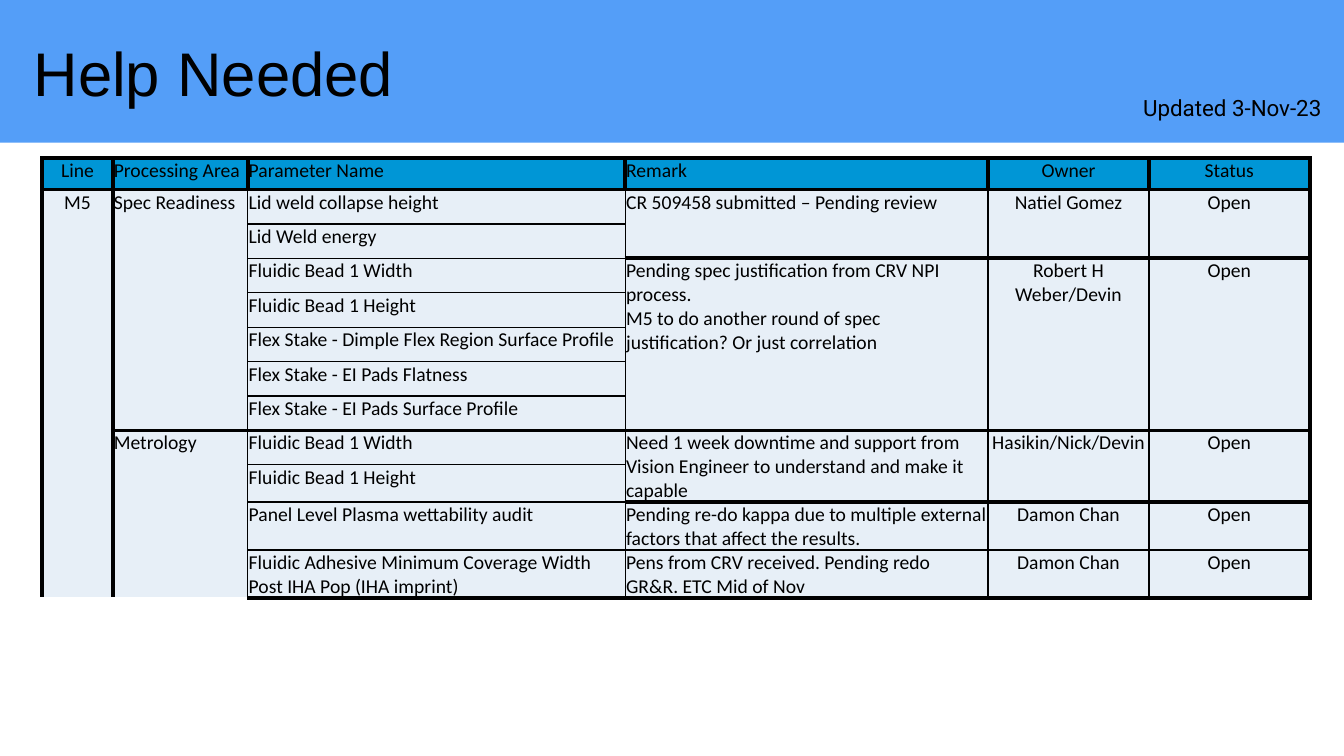
from dataclasses import dataclass

from lxml.etree import SubElement
from pptx import Presentation
from pptx.dml.color import RGBColor
from pptx.enum.shapes import MSO_SHAPE as Shape
from pptx.enum.text import MSO_ANCHOR as Anchor, PP_ALIGN as Align
from pptx.oxml.ns import qn
from pptx.slide import Slide
from pptx.table import Table, _Cell as Cell
from pptx.text.text import TextFrame
from pptx.util import Pt

BLACK = RGBColor(0x00, 0x00, 0x00)
BANNER_BLUE = RGBColor(0x54, 0x9E, 0xF8)
HEADER_BLUE = RGBColor(0x00, 0x96, 0xD6)
BODY_BLUE = RGBColor(0xE7, 0xEF, 0xF7)

THIN, THICK = 1, 3
COLUMN_WIDTHS = [50.4, 96.4, 269.6, 259.2, 115, 114.8]
ROW_HEIGHTS = [22.4] + [24.6] * 8 + [26.4, 34.2, 34.2]
CENTRED_COLUMNS = {0, 4, 5}
THICK_RULES = {0, 1, 8, 12}  # horizontal rules, counted from the table top

HEADINGS = ["Line", "Processing Area", "Parameter Name", "Remark", "Owner", "Status"]
PARAMETERS = [
    "Lid weld collapse height",
    "Lid Weld energy",
    "Fluidic Bead 1 Width",
    "Fluidic Bead 1 Height",
    "Flex Stake - Dimple Flex Region Surface Profile",
    "Flex Stake - EI Pads Flatness",
    "Flex Stake - EI Pads Surface Profile",
    "Fluidic Bead 1 Width",
    "Fluidic Bead 1 Height",
    "Panel Level Plasma wettability audit",
    "Fluidic Adhesive Minimum Coverage Width Post IHA Pop (IHA imprint)",
]


@dataclass
class Entry:
    row: int
    column: int
    text: str
    rows: int = 1


@dataclass
class Issue:
    row: int
    rows: int
    remark: str
    owner: str
    status: str = "Open"


ISSUES = [
    Issue(1, 2, "CR 509458 submitted – Pending review", "Natiel Gomez"),
    Issue(3, 5, "Pending spec justification from CRV NPI process.\n"
          "M5 to do another round of spec justification? Or just correlation",
          "Robert H Weber/Devin"),
    Issue(8, 2, "Need 1 week downtime and support from Vision Engineer "
          "to understand and make it capable", "Hasikin/Nick/Devin"),
    Issue(10, 1, "Pending re-do kappa due to multiple external factors "
          "that affect the results.", "Damon Chan"),
    Issue(11, 1, "Pens from CRV received. Pending redo GR&R. ETC Mid of Nov",
          "Damon Chan"),
]

ENTRIES = [
    *(Entry(0, column, heading) for column, heading in enumerate(HEADINGS)),
    Entry(1, 0, "M5", 11),
    Entry(1, 1, "Spec Readiness", 7),
    Entry(8, 1, "Metrology", 4),
    *(Entry(row, 2, name) for row, name in enumerate(PARAMETERS, 1)),
    *(Entry(issue.row, column, text, issue.rows)
      for issue in ISSUES
      for column, text in enumerate((issue.remark, issue.owner, issue.status), 3)),
]


def set_font(frame: TextFrame, name: str, size: float) -> None:
    for para in frame.paragraphs:
        para.font.name = name
        para.font.size = Pt(size)
        para.font.color.rgb = BLACK


def add_label(page: Slide, text: str, place: tuple[float, ...], font: str, size: float) -> TextFrame:
    box = page.shapes.add_textbox(*map(Pt, place))
    frame = box.text_frame
    frame.word_wrap = True
    frame.text = text
    set_font(frame, font, size)
    return frame


def add_border(cell: Cell, side: str, width: float) -> None:
    properties = cell._tc.get_or_add_tcPr()
    line = SubElement(properties, qn(f"a:ln{side}"), w=str(Pt(width)))
    solid = SubElement(line, qn("a:solidFill"))
    SubElement(solid, qn("a:srgbClr"), val=str(BLACK))


def rule_width(thick: bool) -> int:
    return THICK if thick else THIN


def style_cell(cell: Cell, entry: Entry, row: int) -> None:
    """Format one grid cell covered by the entry, with borders on its outer sides."""
    header = entry.row == 0
    add_border(cell, "L", rule_width(header or entry.column < 2))
    add_border(cell, "R", rule_width(header or entry.column in (0, 5)))
    if row == entry.row:
        add_border(cell, "T", rule_width(row in THICK_RULES))
    if row == entry.row + entry.rows - 1:
        add_border(cell, "B", rule_width(row + 1 in THICK_RULES))
    cell.fill.solid()
    cell.fill.fore_color.rgb = HEADER_BLUE if header else BODY_BLUE
    cell.margin_left = cell.margin_top = cell.margin_right = Pt(0.7)
    cell.margin_bottom = Pt(0)
    set_font(cell.text_frame, "Calibri", 14)


def fill_entry(table: Table, entry: Entry) -> None:
    first = table.cell(entry.row, entry.column)
    first.text = entry.text
    if entry.column in CENTRED_COLUMNS:
        for para in first.text_frame.paragraphs:
            para.alignment = Align.CENTER
    last_row = entry.row + entry.rows - 1
    for row in range(entry.row, last_row + 1):
        style_cell(table.cell(row, entry.column), entry, row)
    if entry.rows > 1:
        first.merge(table.cell(last_row, entry.column))


def add_issue_table(page: Slide) -> None:
    frame = page.shapes.add_table(
        len(ROW_HEIGHTS), len(COLUMN_WIDTHS), Pt(30.2), Pt(113),
        Pt(sum(COLUMN_WIDTHS)), Pt(sum(ROW_HEIGHTS)))
    table = frame.table
    table.first_row = table.horz_banding = False
    for column, width in zip(table.columns, COLUMN_WIDTHS):
        column.width = Pt(width)
    for row, height in zip(table.rows, ROW_HEIGHTS):
        row.height = Pt(height)
    for entry in ENTRIES:
        fill_entry(table, entry)


def main() -> None:
    deck = Presentation()
    deck.slide_width, deck.slide_height = Pt(960), Pt(540)
    page = deck.slides.add_slide(deck.slide_layouts[6])

    banner = page.shapes.add_shape(Shape.RECTANGLE, Pt(0), Pt(0), Pt(960), Pt(102))
    banner.shadow.inherit = False
    banner.fill.solid()
    banner.fill.fore_color.rgb = BANNER_BLUE
    banner.line.fill.background()

    title = add_label(page, "Help Needed", (24, 31.6, 643.6, 47.6), "Arial", 44)
    title.margin_left = title.margin_top = title.margin_right = title.margin_bottom = Pt(0)
    title.vertical_anchor = Anchor.MIDDLE
    title.paragraphs[0].line_spacing = 0.85

    add_issue_table(page)
    add_label(page, "Updated 3-Nov-23", (809.4, 63.4, 150.4, 26.6), "Roboto", 16)
    deck.save("out.pptx")


if __name__ == "__main__":
    main()
